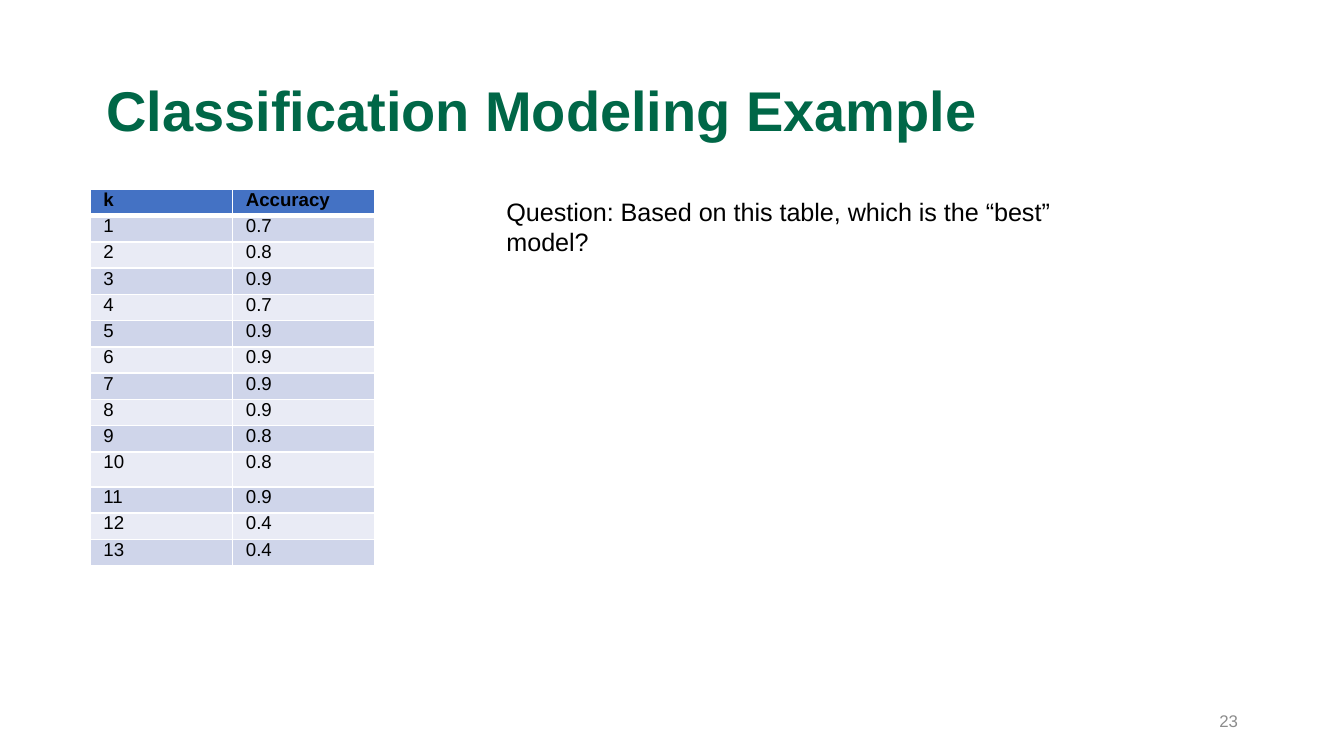
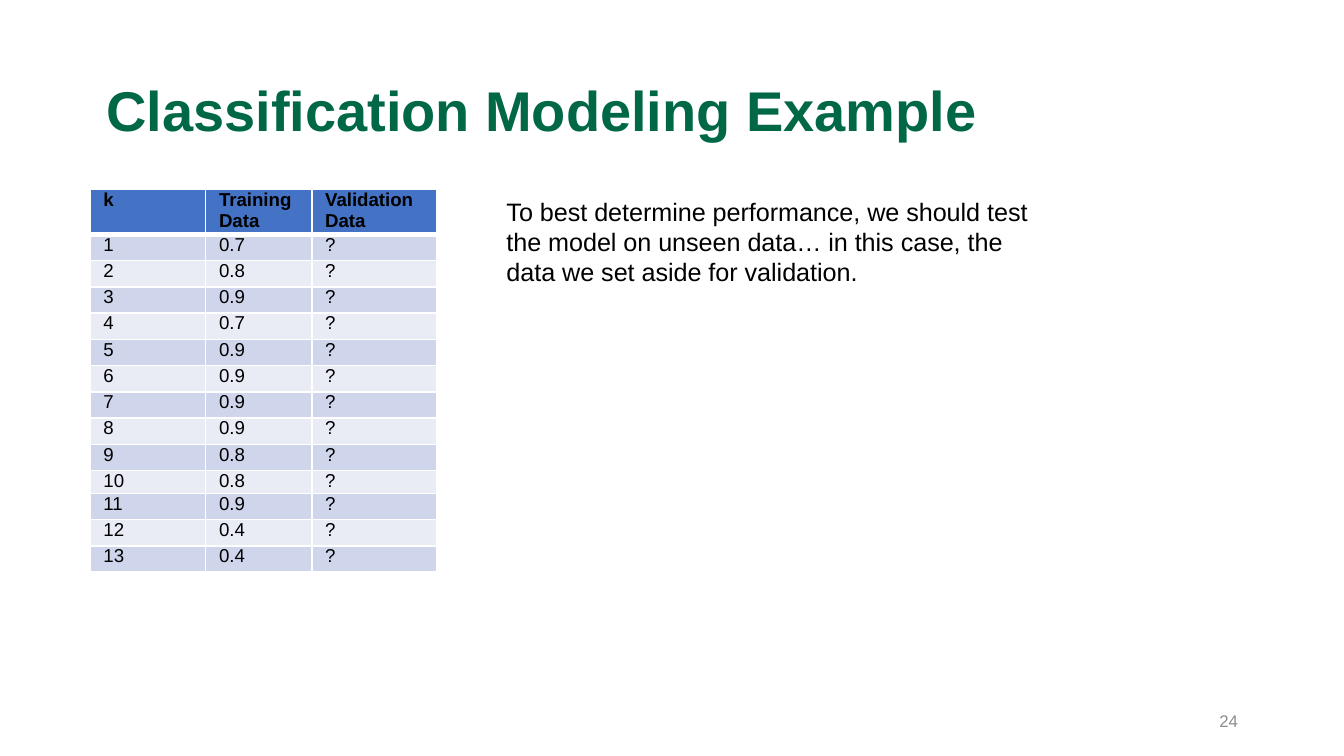
"""Builds two slides that compare classification models by k."""
from lxml import etree
from pptx import Presentation, util as u
from pptx.dml.color import RGBColor
from pptx.enum import text
from pptx.oxml.ns import qn

FONT = "Arial"
GREEN, BLACK, GREY, WHITE = "006747", "000000", "8C8C8C", "FFFFFF"
HEADER_FILL = "4472C4"
BAND_FILLS = ["E9EBF5", "CFD5EA"]
ROW_HEIGHT = 2.54 / 13
ACCURACIES = ["0.7", "0.8", "0.9", "0.7", "0.9", "0.9", "0.9", "0.9", "0.8", "0.8", "0.9", "0.4", "0.4"]


def style(paragraph, size, color, bold=False):
    paragraph.font.name = FONT
    paragraph.font.size = u.Pt(size)
    paragraph.font.bold = bold
    paragraph.font.color.rgb = RGBColor.from_string(color)


def add_border(cell, side, points):
    properties = cell._tc.get_or_add_tcPr()
    line = etree.Element(qn(f"a:ln{side}"), w=str(u.Pt(points)))
    fill = etree.SubElement(line, qn("a:solidFill"))
    etree.SubElement(fill, qn("a:srgbClr"), val=WHITE)
    properties.insert("LRTB".index(side), line)


presentation = Presentation()
presentation.slide_width = u.Inches(10)
presentation.slide_height = u.Inches(10 * 9 / 16)

slides = [
    {
        "number": "23",
        "headers": ["k", "Accuracy"],
        "rows": [[str(k), accuracy] for k, accuracy in enumerate(ACCURACIES, 1)],
        "widths": [1.06, 1.06],
        "row_10_height": 0.26,
        "message": "Question: Based on this table, which is the “best” model?",
        "message_height": 0.91,
    },
    {
        "number": "24",
        "headers": ["k", "Training Data", "Validation Data"],
        "rows": [[str(k), accuracy, "?"] for k, accuracy in enumerate(ACCURACIES, 1)],
        "widths": [0.86, 0.79, 0.93],
        "row_10_height": 0.17,
        "message": "To best determine performance, we should test the model on unseen data… "
                   "in this case, the data we set aside for validation.",
        "message_height": 2.12,
    },
]

for content in slides:
    slide = presentation.slides.add_slide(presentation.slide_layouts[5])

    title = slide.shapes.title
    title.left, title.top = u.Inches(0.69), u.Inches(0.3)
    title.width, title.height = u.Inches(8.62), u.Inches(1.09)
    title.text_frame.text = "Classification Modeling Example"
    title.text_frame.margin_left = u.Inches(0.1)
    title.text_frame.vertical_anchor = text.MSO_ANCHOR.MIDDLE
    paragraph = title.text_frame.paragraphs[0]
    paragraph.alignment = text.PP_ALIGN.LEFT
    paragraph.line_spacing = 0.9
    style(paragraph, 30, GREEN, bold=True)

    number = slide.shapes.add_textbox(u.Inches(7.06), u.Inches(5.21), u.Inches(2.25), u.Inches(0.3))
    number.text_frame.text = content["number"]
    number.text_frame.word_wrap = True
    number.text_frame.vertical_anchor = text.MSO_ANCHOR.MIDDLE
    number.text_frame.paragraphs[0].alignment = text.PP_ALIGN.RIGHT
    style(number.text_frame.paragraphs[0], 9, GREY)

    grid = [content["headers"]] + content["rows"]
    widths = content["widths"]
    table = slide.shapes.add_table(
        len(grid), len(widths), u.Inches(0.67), u.Inches(1.41),
        u.Inches(sum(widths)), u.Inches(ROW_HEIGHT * len(grid))).table
    for column, width in zip(table.columns, widths):
        column.width = u.Inches(width)
    for row_index, values in enumerate(grid):
        is_header = row_index == 0
        height = content["row_10_height"] if row_index == 10 else ROW_HEIGHT
        table.rows[row_index].height = u.Inches(height)
        for column_index, value in enumerate(values):
            cell = table.cell(row_index, column_index)
            cell.text = value
            cell.margin_left = cell.margin_right = u.Inches(0.1)
            cell.margin_top = cell.margin_bottom = 0
            cell.fill.solid()
            cell.fill.fore_color.rgb = RGBColor.from_string(
                HEADER_FILL if is_header else BAND_FILLS[row_index % 2])
            style(cell.text_frame.paragraphs[0], 10, BLACK, bold=is_header)
            add_border(cell, "L", 1)
            add_border(cell, "R", 1)
            add_border(cell, "T", 3 if row_index == 1 else 1)
            add_border(cell, "B", 3 if is_header else 1)

    message = slide.shapes.add_textbox(
        u.Inches(3.67), u.Inches(1.41), u.Inches(4.25), u.Inches(content["message_height"]))
    message.text_frame.text = content["message"]
    message.text_frame.word_wrap = True
    message.text_frame.auto_size = text.MSO_AUTO_SIZE.SHAPE_TO_FIT_TEXT
    style(message.text_frame.paragraphs[0], 13.5, BLACK)

presentation.save("out.pptx")
